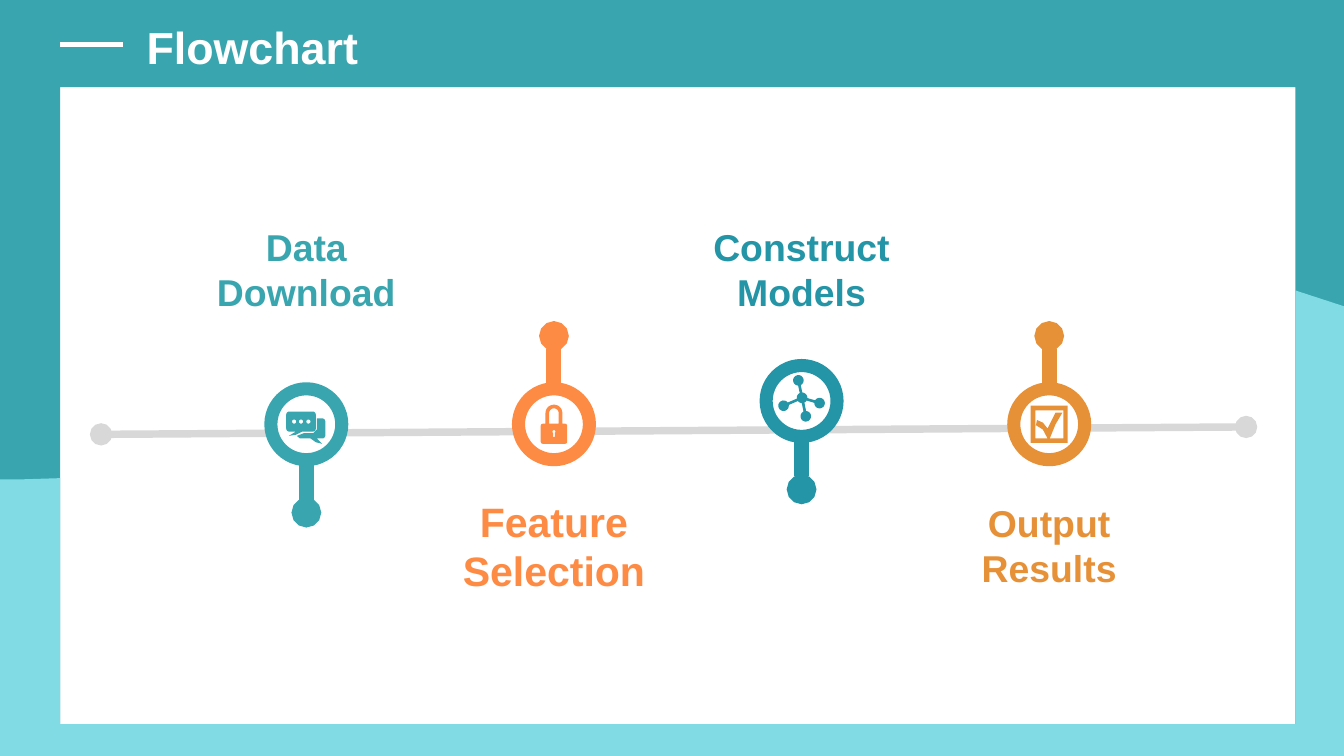
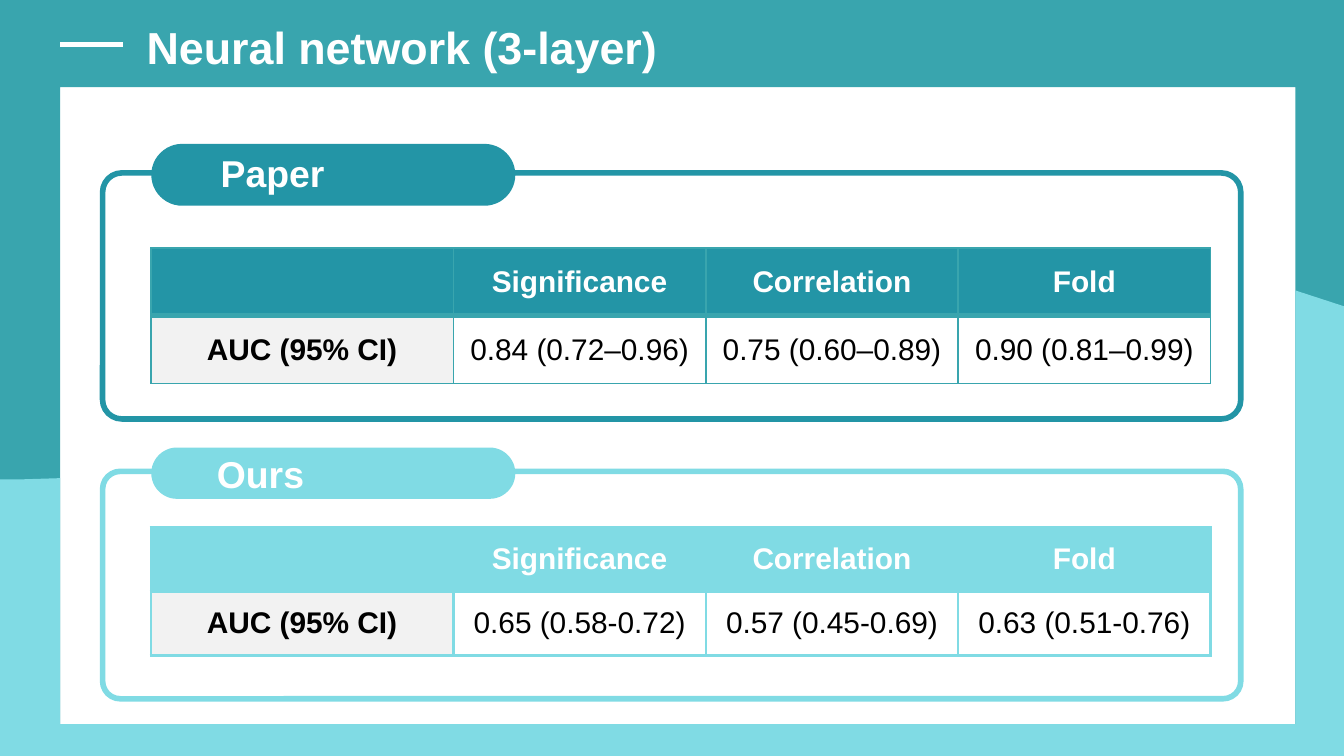
from math import atan2, cos, pi, sin

from lxml.etree import SubElement
from pptx import Presentation
from pptx.dml.color import RGBColor
from pptx.enum.shapes import MSO_CONNECTOR, MSO_SHAPE
from pptx.enum.text import MSO_ANCHOR, MSO_AUTO_SIZE, PP_ALIGN
from pptx.oxml.ns import qn
from pptx.util import Cm, Pt

TEAL = RGBColor(0x39, 0xA5, 0xAE)
AQUA = RGBColor(0x80, 0xDB, 0xE4)
DEEP = RGBColor(0x23, 0x95, 0xA6)
CORAL = RGBColor(0xFE, 0x8B, 0x44)
AMBER = RGBColor(0xE6, 0x91, 0x38)
GREY = RGBColor(0xD8, 0xD8, 0xD8)
PALE = RGBColor(0xF2, 0xF2, 0xF2)
WHITE = RGBColor(0xFF, 0xFF, 0xFF)
BLACK = RGBColor(0, 0, 0)
FONT = "Arial"
WIDE, HIGH = 25.4, 14.29
LEFT, TOP, RIGHT, BASE = 1.14, 1.65, 24.48, 13.69


def write(frame, text, size, color, bold=True, align=PP_ALIGN.LEFT):
    for i, line in enumerate(text.split("\n")):
        para = frame.paragraphs[0] if i == 0 else frame.add_paragraph()
        para.alignment = align
        run = para.add_run()
        run.text = line
        run.font.name = FONT
        run.font.size = Pt(size)
        run.font.bold = bold
        run.font.color.rgb = color


def inset(frame, anchor):
    frame.word_wrap = True
    frame.auto_size = MSO_AUTO_SIZE.NONE
    frame.vertical_anchor = anchor
    frame.margin_left = frame.margin_right = Cm(0.18)
    frame.margin_top = frame.margin_bottom = Cm(0.1)


def label(slide, x, y, w, h, text, size, color, align=PP_ALIGN.LEFT, anchor=MSO_ANCHOR.TOP):
    box = slide.shapes.add_textbox(Cm(x), Cm(y), Cm(w), Cm(h))
    inset(box.text_frame, anchor)
    write(box.text_frame, text, size, color, align=align)


def paint(shape, fill, edge=None, width=0):
    shape.shadow.inherit = False
    shape.fill.solid()
    shape.fill.fore_color.rgb = fill
    if edge is None:
        shape.line.fill.background()
    else:
        shape.line.color.rgb = edge
        shape.line.width = Pt(width)


def preset(slide, kind, x, y, w, h, fill, edge=None, width=0):
    shape = slide.shapes.add_shape(kind, Cm(x), Cm(y), Cm(w), Cm(h))
    paint(shape, fill, edge, width)
    return shape


def line(slide, x1, y1, x2, y2, color, width, dots=None):
    link = slide.shapes.add_connector(MSO_CONNECTOR.STRAIGHT, Cm(x1), Cm(y1), Cm(x2), Cm(y2))
    link.line.color.rgb = color
    link.line.width = Pt(width)
    if dots:
        edge = link._element.spPr.find(qn("a:ln"))
        for end in ("a:headEnd", "a:tailEnd"):
            SubElement(edge, qn(end), type="oval", w=dots, len=dots)
    SubElement(link._element.spPr, qn("a:effectLst"))


def outline(slide, loops, fill, x=0, y=0):
    loops = [[(Cm(x + a), Cm(y + b)) for a, b in loop] for loop in loops]
    build = slide.shapes.build_freeform(*loops[0][0], scale=1.0)
    for i, loop in enumerate(loops):
        if i:
            build.move_to(*loop[0])
        build.add_line_segments(loop[1:], close=True)
    paint(build.convert_to_shape(), fill)


def arc(x, y, r, start, stop, steps=16):
    turns = [start + (stop - start) * i / steps for i in range(steps + 1)]
    return [(x + r * cos(t), y + r * sin(t)) for t in turns]


def ring(x, y, r):
    return arc(x, y, r, 2 * pi, 0)


def box(x1, y1, x2, y2, r=0.0):
    spots = [(x1 + r, y1 + r), (x2 - r, y1 + r), (x2 - r, y2 - r), (x1 + r, y2 - r)]
    if not r:
        return spots
    return [p for i, (x, y) in enumerate(spots)
            for p in arc(x, y, r, pi + i * pi / 2, pi * 1.5 + i * pi / 2, 4)]


def chat():
    front = box(-0.38, -0.24, 0.18, 0.14, 0.06)
    tail = [(-0.2, 0.14), (-0.33, 0.22), (-0.2, 0.2), (-0.08, 0.14)]
    back = [(0.2, -0.11), *arc(0.3, -0.05, 0.06, -pi / 2, 0, 4),
            *arc(0.3, 0.21, 0.06, 0, pi / 2, 4), (0.2, 0.27), (0.3, 0.37),
            (0.18, 0.34), (0.08, 0.27), (-0.12, 0.27), (-0.18, 0.22),
            (-0.05, 0.17), (0.13, 0.17), (0.2, 0.1)]
    return [front, tail, back] + [ring(x, -0.05, 0.04) for x in (-0.23, -0.1, 0.04)]


def lock():
    body = box(-0.25, -0.01, 0.25, 0.37, 0.04)
    arch = [(-0.16, -0.01), *arc(0, -0.21, 0.16, pi, 2 * pi), (0.16, -0.01),
            (0.09, -0.01), *arc(0, -0.21, 0.09, 2 * pi, pi), (-0.09, -0.01)]
    hole = [(0.02, 0.24), *arc(0, 0.14, 0.03, pi / 3, -pi * 4 / 3), (-0.02, 0.24)]
    return [body, arch, hole]


def net():
    x, y, r, gap = 0.01, -0.06, 0.1, 0.25
    nodes = [(-0.06, -0.39), (0.34, 0.04), (0.08, 0.29), (-0.34, 0.09)]
    spokes = sorted((atan2(b - y, a - x), a, b) for a, b in nodes)
    turns = [s[0] for s in spokes]
    loop = []
    for (turn, a, b), after in zip(spokes, turns[1:] + [turns[0] + 2 * pi]):
        loop += arc(a, b, r, turn + pi + gap, turn + 3 * pi - gap)
        loop += arc(x, y, r, turn + gap, after - gap, 6)
    return [loop]


def check():
    inner = [(-0.26, -0.26), (-0.26, 0.27), (-0.03, 0.27), (-0.12, 0.1),
             (-0.25, 0.02), (-0.23, -0.08), (-0.12, -0.03), (-0.03, 0.08),
             (0.12, -0.22), (0.25, -0.22), (0.12, 0), (0.01, 0.27),
             (0.27, 0.27), (0.27, -0.26)]
    return [box(-0.35, -0.35, 0.35, 0.35), inner]


def start(deck, title):
    slide = deck.slides.add_slide(deck.slide_layouts[5])
    head = slide.shapes.title
    outline(slide, [box(0, 0, WIDE, HIGH), box(LEFT, TOP, RIGHT, BASE)[::-1]], TEAL)
    wave = [(RIGHT, 5.49), (WIDE, 5.79), (WIDE, HIGH), (0, HIGH), (0, 9.06),
            (0.46, 9.06), (LEFT, 9.04), (LEFT, BASE), (RIGHT, BASE)]
    outline(slide, [wave], AQUA)
    line(slide, LEFT, 0.84, 2.33, 0.84, WHITE, 3)
    head.left, head.top, head.width, head.height = Cm(2.59), Cm(0.28), Cm(20.55), Cm(1.09)
    inset(head.text_frame, MSO_ANCHOR.TOP)
    write(head.text_frame, title, 24, WHITE)
    slide.shapes._spTree.append(head._element)
    return slide


def step(slide, x, y, way, icon, text, size, color, width):
    line(slide, x, y, x, y + way * 1.67, color, 8, "sm")
    preset(slide, MSO_SHAPE.OVAL, x - 0.67, y - 0.67, 1.34, 1.34, WHITE, color, 7)
    outline(slide, icon, color, x, y)
    mid = 5.09 if way > 0 else 10.31
    label(slide, x - width / 2, mid - 1.08, width, 2.16, text, size, color,
          PP_ALIGN.CENTER, MSO_ANCHOR.MIDDLE)


def border(cell, edges):
    props = cell._tc.get_or_add_tcPr()
    for side, (color, width) in zip("LRTB", edges):
        rule = SubElement(props, qn("a:ln" + side), w=str(Pt(width)))
        SubElement(SubElement(rule, qn("a:solidFill")), qn("a:srgbClr"), val=str(color))


def grid(slide, y, high, rows, color, edge, thin, thick):
    widths = [5.72, 4.77, 4.77, 4.77]
    table = slide.shapes.add_table(len(rows), len(widths), Cm(2.85), Cm(y),
                                   Cm(sum(widths)), Cm(high * len(rows))).table
    table.first_row = table.horz_banding = False
    for col, width in zip(table.columns, widths):
        col.width = Cm(width)
    for r, row in enumerate(rows):
        table.rows[r].height = Cm(high)
        for c, text in enumerate(row):
            cell = table.cell(r, c)
            border(cell, [(edge, w) for w in (thin, thin, thick if r else thin, thin if r else thick)])
            cell.fill.solid()
            cell.fill.fore_color.rgb = color if r == 0 else WHITE if c else PALE
            cell.vertical_anchor = MSO_ANCHOR.MIDDLE
            cell.margin_left = cell.margin_right = Cm(0.2)
            cell.margin_top = cell.margin_bottom = Cm(0.1)
            if text:
                write(cell.text_frame, text, 16, BLACK if r else WHITE,
                      r == 0 or c == 0, PP_ALIGN.CENTER)


def panel(slide, y, high, color):
    frame = preset(slide, MSO_SHAPE.ROUNDED_RECTANGLE, 1.94, y, 21.51, high, WHITE, color, 3)
    frame.adjustments[0] = 0.078
    tint = frame._element.spPr.find(qn("a:solidFill"))[0]
    SubElement(tint, qn("a:alpha"), val="50000")


def tab(slide, y, high, color, text, x, top):
    pill = preset(slide, MSO_SHAPE.ROUNDED_RECTANGLE, 2.86, y, 6.88, high, color)
    pill.adjustments[0] = 0.5
    label(slide, x, top, 4.65, 0.91, text, 20, WHITE)


def flow(deck):
    slide = start(deck, "Flowchart")
    line(slide, 1.91, 8.21, 23.55, 8.07, GREY, 4, "med")
    steps = [
        (8.02, 1, chat(), "Data Download", 20, TEAL, 3.84),
        (8.02, -1, lock(), "Feature Selection", 22, CORAL, 5.21),
        (7.58, 1, net(), "Construct\nModels", 20, DEEP, 3.84),
        (8.02, -1, check(), "Output Results", 20, AMBER, 3.15),
    ]
    for i, item in enumerate(steps):
        step(slide, 5.79 + 4.68 * i, *item)


def scores(deck):
    slide = start(deck, "Neural network (3-layer)")
    heads = ["", "Significance", "Correlation", "Fold"]
    name = "AUC (95% CI)"
    paper = [heads, [name, "0.84 (0.72–0.96)", "0.75 (0.60–0.89)", "0.90 (0.81–0.99)"]]
    ours = [heads, [name, "0.65 (0.58-0.72)", "0.57 (0.45-0.69)", "0.63 (0.51-0.76)"]]
    panel(slide, 3.27, 4.65, DEEP)
    grid(slide, 4.69, 1.28, paper, DEEP, TEAL, 1, 3)
    tab(slide, 2.72, 1.17, DEEP, "Paper", 3.99, 2.74)
    panel(slide, 8.91, 4.3, AQUA)
    grid(slide, 9.97, 1.21, ours, AQUA, AQUA, 1.5, 1.5)
    tab(slide, 8.46, 0.97, AQUA, "Ours", 3.92, 8.43)


def main():
    deck = Presentation()
    deck.slide_width, deck.slide_height = Cm(WIDE), Cm(HIGH)
    flow(deck)
    scores(deck)
    deck.save("out.pptx")


if __name__ == "__main__":
    main()
